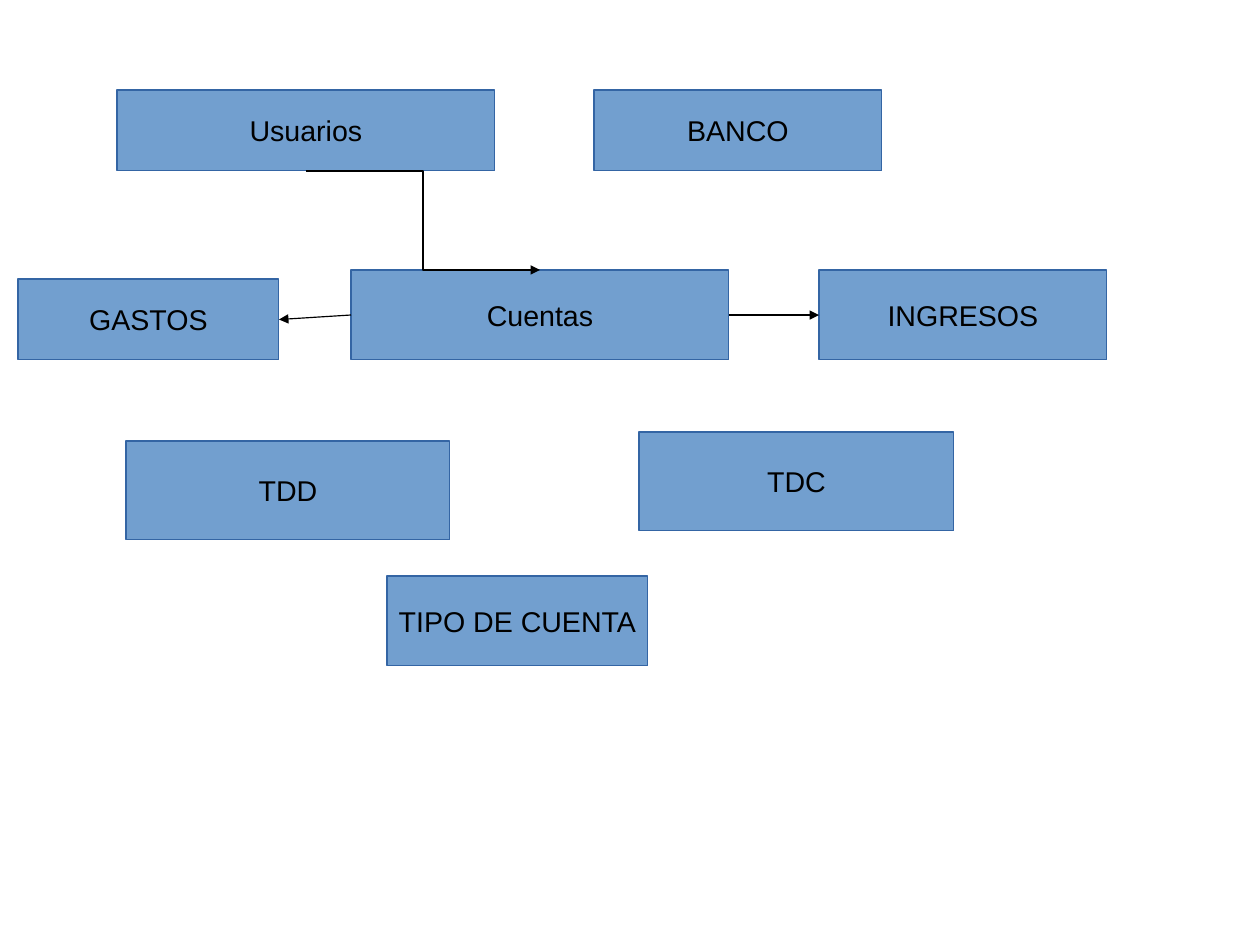
"""Builds the slide of account entities and the relations between them."""
from lxml.etree import SubElement
from pptx import Presentation
from pptx.dml.color import RGBColor
from pptx.enum.shapes import MSO_CONNECTOR, MSO_SHAPE
from pptx.enum.text import MSO_ANCHOR, PP_ALIGN
from pptx.oxml.ns import qn
from pptx.util import Cm, Inches, Pt

COLOURS = {"fill": "729FCF", "border": "3465A4", "ink": "000000"}
COLUMNS, ROWS = 140, 105
WIDTH, HEIGHT = Cm(28), Cm(21)
LINE_WIDTH = Pt(0.75)
TOP, LEFT, BOTTOM, RIGHT = range(4)

FRAME_FORMAT = {
    "word_wrap": False,
    "vertical_anchor": MSO_ANCHOR.MIDDLE,
    "margin_left": Inches(0.1),
    "margin_right": Inches(0.1),
    "margin_top": Inches(0.05),
    "margin_bottom": Inches(0.05),
}
FONT_FORMAT = {"name": "Arial", "size": Pt(18)}

ENTITIES = {
    "Usuarios": (13, 10, 42, 9),
    "BANCO": (66, 10, 32, 9),
    "GASTOS": (2, 31, 29, 9),
    "Cuentas": (39, 30, 42, 10),
    "INGRESOS": (91, 30, 32, 10),
    "TDD": (14, 49, 36, 11),
    "TDC": (71, 48, 35, 11),
    "TIPO DE CUENTA": (43, 64, 29, 10),
}
RELATIONS = [
    ("Usuarios", BOTTOM, "Cuentas", TOP, MSO_CONNECTOR.ELBOW),
    ("Cuentas", LEFT, "GASTOS", RIGHT, MSO_CONNECTOR.STRAIGHT),
    ("Cuentas", RIGHT, "INGRESOS", LEFT, MSO_CONNECTOR.STRAIGHT),
]


def colour(name):
    """Return the named colour."""
    return RGBColor.from_string(COLOURS[name])


def apply_format(target, values):
    """Set every attribute in values on target."""
    for name, value in values.items():
        setattr(target, name, value)


def style_line(line, name):
    """Give a line its colour and width."""
    line.color.rgb = colour(name)
    line.width = LINE_WIDTH


def add_entity(slide, text, box):
    """Add one labelled rectangle that fills the box."""
    shape = slide.shapes.add_shape(MSO_SHAPE.RECTANGLE, *box)
    shape.shadow.inherit = False
    shape.fill.solid()
    shape.fill.fore_color.rgb = colour("fill")
    style_line(shape.line, "border")
    apply_format(shape.text_frame, FRAME_FORMAT)
    paragraph = shape.text_frame.paragraphs[0]
    paragraph.alignment = PP_ALIGN.CENTER
    run = paragraph.add_run()
    run.text = text
    apply_format(run.font, FONT_FORMAT)
    run.font.color.rgb = colour("ink")
    return shape


def side_point(shape, side):
    """Return the middle of one side of a shape."""
    across, down = {TOP: (1, 0), LEFT: (0, 1), BOTTOM: (1, 2), RIGHT: (2, 1)}[side]
    return shape.left + shape.width * across // 2, shape.top + shape.height * down // 2


def add_relation(slide, start, start_side, end, end_side, kind):
    """Add an arrow from a side of one shape to a side of another."""
    connector = slide.shapes.add_connector(
        kind, *side_point(start, start_side), *side_point(end, end_side))
    if kind == MSO_CONNECTOR.STRAIGHT:
        connector.begin_connect(start, start_side)
        connector.end_connect(end, end_side)
    style_line(connector.line, "ink")
    SubElement(connector.line._get_or_add_ln(), qn("a:tailEnd"), type="triangle")
    SubElement(connector._element.spPr, qn("a:effectLst"))


def draw_diagram(slide, left, top, width, height):
    """Place the entities on a grid in the given box and join them."""
    column, row = width / COLUMNS, height / ROWS
    shapes = {}
    for text, (x, y, across, down) in ENTITIES.items():
        box = (left + x * column, top + y * row, across * column, down * row)
        shapes[text] = add_entity(slide, text, [round(length) for length in box])
    for start, start_side, end, end_side, kind in RELATIONS:
        add_relation(slide, shapes[start], start_side, shapes[end], end_side, kind)


presentation = Presentation()
apply_format(presentation, {"slide_width": WIDTH, "slide_height": HEIGHT})
slide = presentation.slides.add_slide(presentation.slide_layouts[6])
draw_diagram(slide, 0, 0, WIDTH, HEIGHT)
presentation.save("out.pptx")
